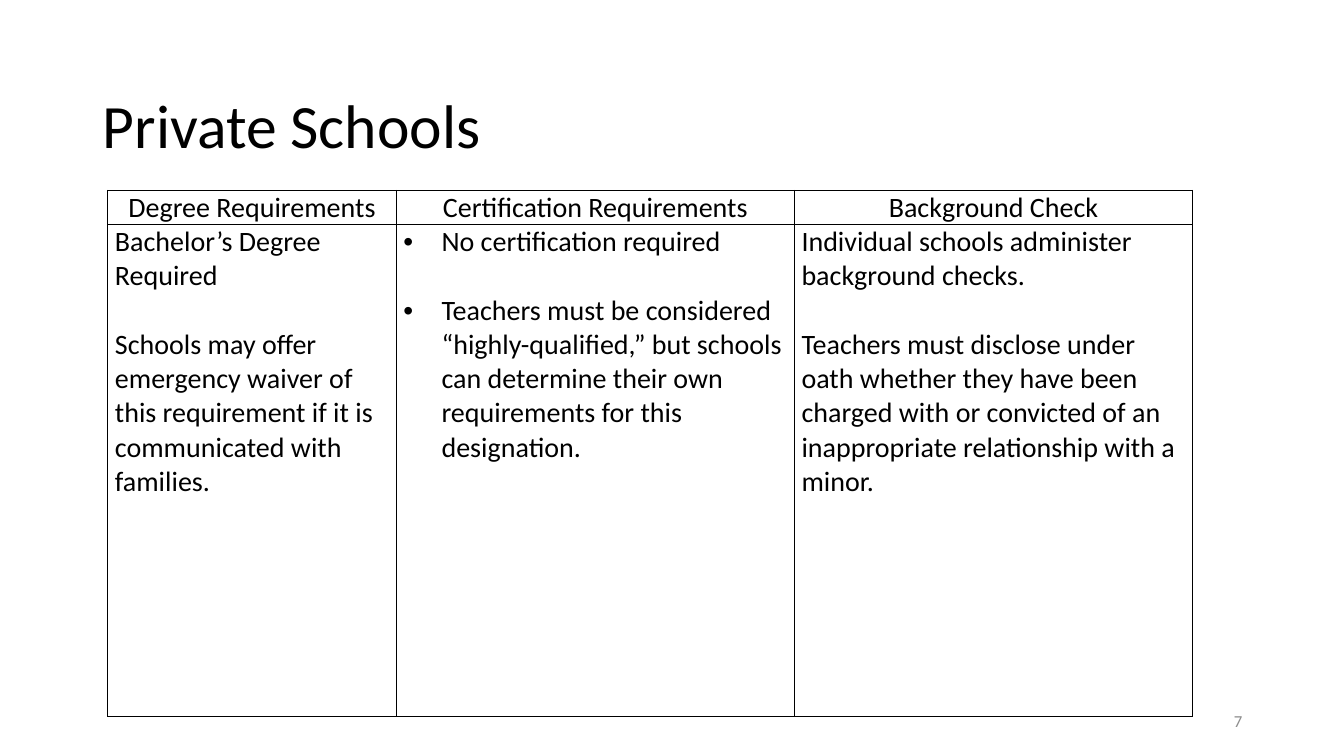
from dataclasses import dataclass

from lxml import etree
from pptx import Presentation
from pptx.dml.color import RGBColor
from pptx.enum.text import MSO_ANCHOR, MSO_AUTO_SIZE, PP_ALIGN
from pptx.oxml.ns import qn
from pptx.util import Inches, Pt

LEFT, CENTER, RIGHT = PP_ALIGN.LEFT, PP_ALIGN.CENTER, PP_ALIGN.RIGHT
TOP, MIDDLE = MSO_ANCHOR.TOP, MSO_ANCHOR.MIDDLE
NO_AUTOFIT = MSO_AUTO_SIZE.NONE
TITLE_ONLY_LAYOUT = 5


@dataclass(frozen=True)
class Theme:
    font: str = "Calibri"
    ink: RGBColor = RGBColor(0x00, 0x00, 0x00)
    muted: RGBColor = RGBColor(0x8C, 0x8C, 0x8C)
    paper: RGBColor = RGBColor(0xFF, 0xFF, 0xFF)
    title_size: int = 44
    table_size: int = 20
    number_size: int = 12
    paragraph_gap: float = 24.4
    border_width: int = 1


THEME = Theme()

COLUMN_WIDTHS = (2.86, 3.95, 3.95)
HEADER_HEIGHT, BODY_HEIGHT = 0.34, 4.88
BULLET_INDENT = 0.38

REQUIREMENTS = (
    ("Degree Requirements", False, (
        "Bachelor’s Degree Required",
        "Schools may offer emergency waiver of this requirement if it is "
        "communicated with families.",
    )),
    ("Certification Requirements", True, (
        "No certification required",
        "Teachers must be considered “highly-qualified,” but schools can "
        "determine their own requirements for this designation.",
    )),
    ("Background Check", False, (
        "Individual schools administer background checks.",
        "Teachers must disclose under oath whether they have been charged "
        "with or convicted of an inappropriate relationship with a minor.",
    )),
)


def format_paragraph(paragraph, size, color, alignment=LEFT):
    paragraph.alignment = alignment
    for run in paragraph.runs:
        run.font.name = THEME.font
        run.font.size = Pt(size)
        run.font.bold = False
        run.font.color.rgb = color


def add_bullet(paragraph):
    properties = paragraph._p.get_or_add_pPr()
    properties.set("marL", str(Inches(BULLET_INDENT)))
    properties.set("indent", str(-Inches(BULLET_INDENT)))
    etree.SubElement(properties, qn("a:buFont"), typeface="Arial")
    etree.SubElement(properties, qn("a:buChar"), char="•")


def add_borders(cell):
    properties = cell._tc.get_or_add_tcPr()
    for side in ("lnL", "lnR", "lnT", "lnB"):
        line = etree.SubElement(
            properties, qn(f"a:{side}"), w=str(Pt(THEME.border_width))
        )
        fill = etree.SubElement(line, qn("a:solidFill"))
        etree.SubElement(fill, qn("a:srgbClr"), val=str(THEME.ink))


def fill_cell(cell, paragraphs, alignment=LEFT, anchor=TOP, bulleted=False):
    add_borders(cell)
    cell.fill.solid()
    cell.fill.fore_color.rgb = THEME.paper
    cell.margin_left = cell.margin_right = Inches(0.07)
    cell.margin_top = cell.margin_bottom = Inches(0)
    cell.vertical_anchor = anchor
    cell.text_frame.text = "\n".join(paragraphs)
    for index, paragraph in enumerate(cell.text_frame.paragraphs):
        if bulleted:
            add_bullet(paragraph)
        if index:
            paragraph.space_before = Pt(THEME.paragraph_gap)
        format_paragraph(paragraph, THEME.table_size, THEME.ink, alignment)


def set_title(slide, text):
    title = slide.shapes.title
    title.left, title.top = Inches(0.92), Inches(0.55)
    title.width, title.height = Inches(11.5), Inches(1.45)
    frame = title.text_frame
    frame.text = text
    frame.auto_size = NO_AUTOFIT
    frame.vertical_anchor = MIDDLE
    frame.paragraphs[0].line_spacing = 0.9
    format_paragraph(frame.paragraphs[0], THEME.title_size, THEME.ink)


def add_requirements_table(slide):
    table = slide.shapes.add_table(
        2, len(REQUIREMENTS), Inches(1.07), Inches(1.89),
        Inches(sum(COLUMN_WIDTHS)), Inches(HEADER_HEIGHT + BODY_HEIGHT),
    ).table
    table.first_row = True
    table.horz_banding = False
    for row, height in zip(table.rows, (HEADER_HEIGHT, BODY_HEIGHT)):
        row.height = Inches(height)
    for column, width in zip(table.columns, COLUMN_WIDTHS):
        column.width = Inches(width)
    for index, (heading, bulleted, paragraphs) in enumerate(REQUIREMENTS):
        fill_cell(table.cell(0, index), (heading,), CENTER, MIDDLE)
        fill_cell(table.cell(1, index), paragraphs, bulleted=bulleted)


def add_slide_number(slide, number):
    box = slide.shapes.add_textbox(
        Inches(9.42), Inches(6.95), Inches(3), Inches(0.4)
    )
    frame = box.text_frame
    frame.word_wrap = True
    frame.vertical_anchor = MIDDLE
    frame.text = number
    format_paragraph(frame.paragraphs[0], THEME.number_size, THEME.muted, RIGHT)


def main():
    presentation = Presentation()
    presentation.slide_width = Inches(13.33)
    presentation.slide_height = Inches(7.5)
    layout = presentation.slide_layouts[TITLE_ONLY_LAYOUT]
    slide = presentation.slides.add_slide(layout)
    set_title(slide, "Private Schools")
    add_requirements_table(slide)
    add_slide_number(slide, "7")
    presentation.save("out.pptx")


if __name__ == "__main__":
    main()
